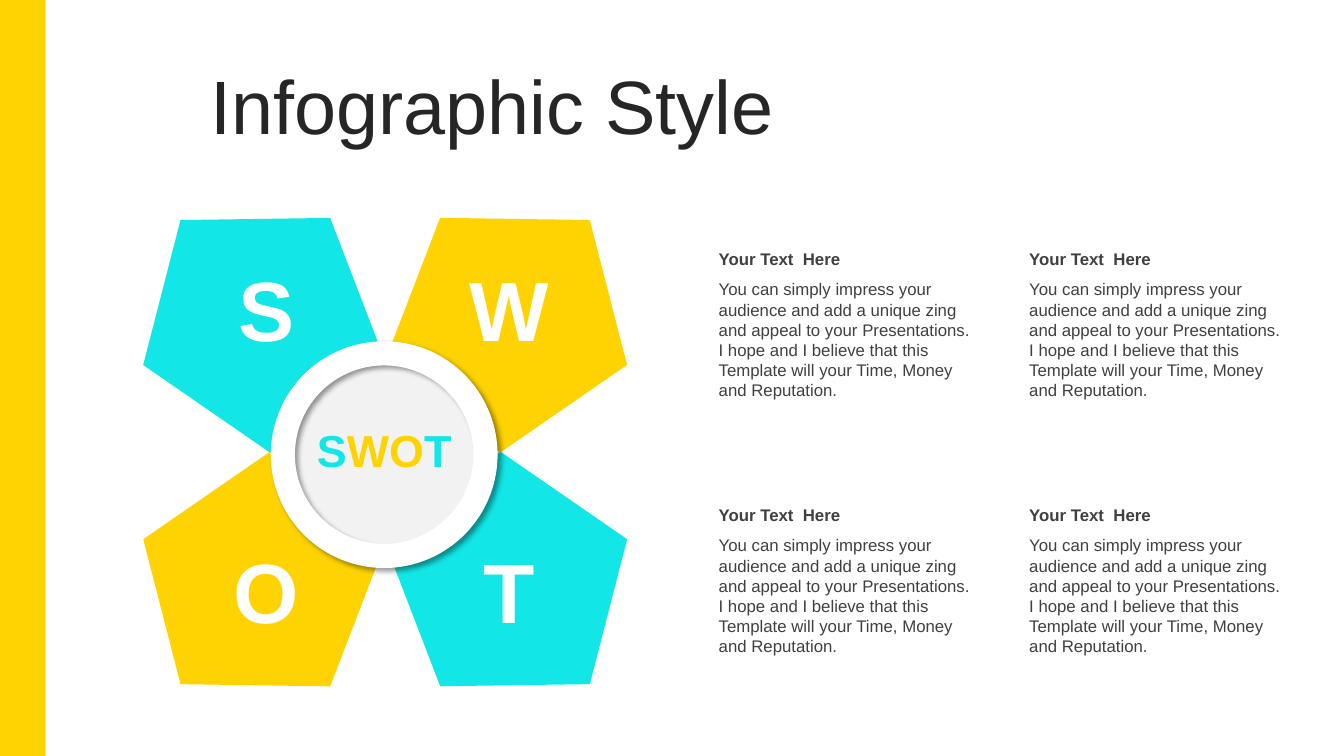
from lxml import etree
from pptx import Presentation
from pptx.dml.color import RGBColor
from pptx.enum.shapes import MSO_SHAPE
from pptx.enum.text import MSO_ANCHOR, PP_ALIGN
from pptx.oxml.ns import qn
from pptx.util import Inches, Pt

YELLOW = RGBColor(0xFF, 0xD3, 0x02)
CYAN = RGBColor(0x12, 0xE6, 0xE6)
WHITE = RGBColor(0xFF, 0xFF, 0xFF)
PALE_GRAY = RGBColor(0xF2, 0xF2, 0xF2)
TITLE_GRAY = RGBColor(0x26, 0x26, 0x26)
TEXT_GRAY = RGBColor(0x40, 0x40, 0x40)

TITLE = "Infographic Style"
HEADING = "Your Text  Here"
BODY = (
    "You can simply impress your audience and add a unique zing and appeal to "
    "your Presentations. I hope and I believe that this Template will your "
    "Time, Money and Reputation."
)
# letter, colour, column, row, rotation
PETALS = [
    ("S", CYAN, 0, 0, 321.8),
    ("W", YELLOW, 1, 0, 38.2),
    ("O", YELLOW, 0, 1, 218.2),
    ("T", CYAN, 1, 1, 141.8),
]

SLIDE_WIDTH, SLIDE_HEIGHT = 13.33, 7.5
PETAL_SIZE = 2.36
PETAL_LEFT, PETAL_TOP = 1.34, 1.93
PETAL_STEP_X, PETAL_STEP_Y = 2.6, 2.75
LETTER_WIDTH, LETTER_HEIGHT = 1.08, 1.11
LETTER_LEFT, LETTER_TOP = 2.1, 2.51
LETTER_STEP_X, LETTER_STEP_Y = 2.41, 2.79
HUB_X, HUB_Y = 3.81, 4.51
DISC_SIZE, RING_SIZE, RING_THICKNESS = 1.97, 2.25, 0.24
NOTE_LEFT, NOTE_TOP, NOTE_WIDTH = 7.03, 2.42, 2.76
NOTE_STEP_X, NOTE_STEP_Y = 3.08, 2.54
HEADING_HEIGHT, BODY_HEIGHT = 0.3, 1.31


def add_filled_shape(slide, kind, left, top, width, height, color):
    shape = slide.shapes.add_shape(
        kind, Inches(left), Inches(top), Inches(width), Inches(height))
    shape.shadow.inherit = False
    shape.fill.solid()
    shape.fill.fore_color.rgb = color
    shape.line.fill.background()
    return shape


def add_hub_circle(slide, kind, size, color):
    """Centre a circle on the hub and give it a soft shadow to the lower right."""
    circle = add_filled_shape(
        slide, kind, HUB_X - size / 2, HUB_Y - size / 2, size, size, color)
    effects = circle._element.spPr.find(qn("a:effectLst"))
    shadow = etree.SubElement(
        effects, qn("a:outerShdw"), blurRad=str(Pt(4)), dist=str(Pt(3)),
        dir=str(45 * 60000), algn="tl", rotWithShape="0")
    shadow_color = etree.SubElement(shadow, qn("a:srgbClr"), val="000000")
    etree.SubElement(shadow_color, qn("a:alpha"), val="40000")
    return circle


def add_text(slide, left, top, width, height, runs, size, bold=False,
             align=PP_ALIGN.LEFT, anchor=MSO_ANCHOR.TOP):
    """Add a one-paragraph text box; runs are (text, colour) pairs."""
    box = slide.shapes.add_textbox(
        Inches(left), Inches(top), Inches(width), Inches(height))
    frame = box.text_frame
    frame.word_wrap = True
    frame.vertical_anchor = anchor
    paragraph = frame.paragraphs[0]
    paragraph.alignment = align
    paragraph.font.name = "Arial"
    paragraph.font.size = Pt(size)
    paragraph.font.bold = bold
    for text, color in runs:
        run = paragraph.add_run()
        run.text = text
        run.font.color.rgb = color
    return paragraph


def add_petals(slide):
    for _, color, column, row, rotation in PETALS:
        petal = add_filled_shape(
            slide, MSO_SHAPE.REGULAR_PENTAGON,
            PETAL_LEFT + column * PETAL_STEP_X, PETAL_TOP + row * PETAL_STEP_Y,
            PETAL_SIZE, PETAL_SIZE, color)
        petal.rotation = rotation


def add_hub(slide):
    add_hub_circle(slide, MSO_SHAPE.OVAL, DISC_SIZE, PALE_GRAY)
    ring = add_hub_circle(slide, MSO_SHAPE.DONUT, RING_SIZE, WHITE)
    ring.adjustments[0] = RING_THICKNESS / RING_SIZE


def add_letters(slide):
    for letter, _, column, row, _ in PETALS:
        add_text(slide, LETTER_LEFT + column * LETTER_STEP_X,
                 LETTER_TOP + row * LETTER_STEP_Y, LETTER_WIDTH, LETTER_HEIGHT,
                 [(letter, WHITE)], 60, bold=True, align=PP_ALIGN.CENTER)
    add_text(slide, 2.97, 4.14, 1.68, 0.64,
             [(letter, color) for letter, color, *_ in PETALS], 32, bold=True,
             align=PP_ALIGN.CENTER, anchor=MSO_ANCHOR.MIDDLE)


def add_notes_grid(slide):
    for row in range(2):
        for column in range(2):
            left = NOTE_LEFT + column * NOTE_STEP_X
            top = NOTE_TOP + row * NOTE_STEP_Y
            add_text(slide, left, top, NOTE_WIDTH, HEADING_HEIGHT,
                     [(HEADING, TEXT_GRAY)], 12, bold=True)
            add_text(slide, left, top + HEADING_HEIGHT, NOTE_WIDTH, BODY_HEIGHT,
                     [(BODY, TEXT_GRAY)], 12)


def main():
    presentation = Presentation()
    presentation.slide_width = Inches(SLIDE_WIDTH)
    presentation.slide_height = Inches(SLIDE_HEIGHT)
    slide = presentation.slides.add_slide(presentation.slide_layouts[6])

    add_filled_shape(slide, MSO_SHAPE.RECTANGLE, 0, 0, 0.45, SLIDE_HEIGHT, YELLOW)
    title = add_text(slide, 1.99, 0.7, 10.93, 0.79, [(TITLE, TITLE_GRAY)], 54,
                     anchor=MSO_ANCHOR.MIDDLE)
    title.line_spacing = 0.9
    add_petals(slide)
    add_hub(slide)
    add_letters(slide)
    add_notes_grid(slide)
    presentation.save("out.pptx")


if __name__ == "__main__":
    main()
